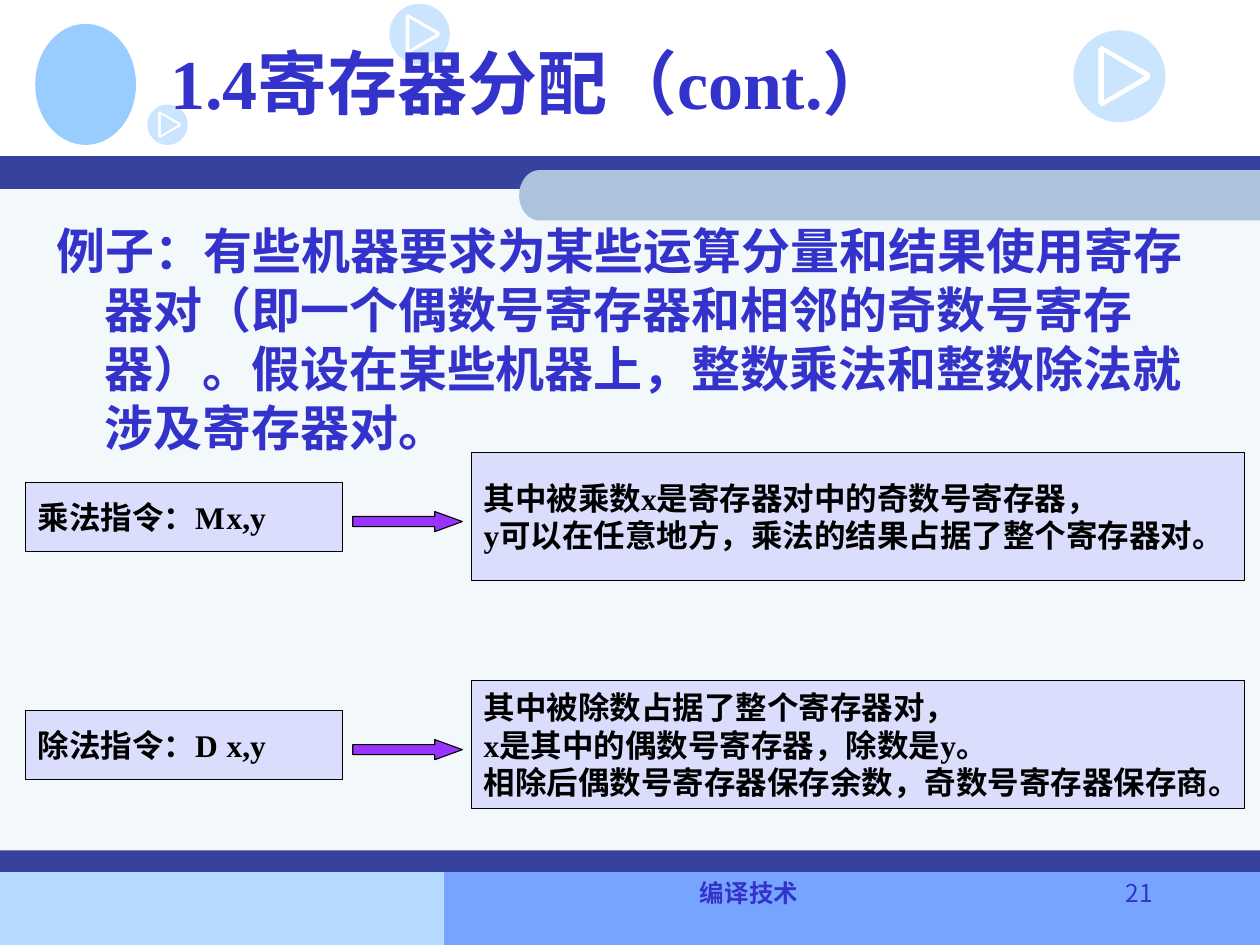
from dataclasses import dataclass
from math import cos, pi, sin

from lxml.etree import SubElement
from pptx import Presentation
from pptx.dml.color import RGBColor
from pptx.enum.shapes import MSO_SHAPE
from pptx.enum.text import MSO_ANCHOR, MSO_AUTO_SIZE, PP_ALIGN
from pptx.oxml.ns import qn
from pptx.util import Inches, Pt


@dataclass(frozen=True)
class Theme:
    ink: str = "3333CC"
    black: str = "000000"
    navy: str = "36429B"
    panel: str = "F3F8FB"
    tab: str = "ADC3DD"
    sky: str = "99CCFF"
    foot_left: str = "B5DAFF"
    foot_right: str = "77A4FF"
    box: str = "CCCCFF"
    arrow: str = "9933FF"
    serif: str = "Times New Roman"
    sans: str = "Noto Sans CJK KR"
    title_size: float = 40
    body_size: float = 28
    box_size: float = 18
    foot_size: float = 14
    line: float = 0.62


T = Theme()


def style(sp, fill, opacity=None, line=None):
    sp.shadow.inherit = False
    sp.fill.solid()
    sp.fill.fore_color.rgb = RGBColor.from_string(fill)
    if opacity:
        color = sp.element.spPr.find(qn("a:solidFill"))[0]
        SubElement(color, qn("a:alpha")).set("val", str(opacity * 1000))
    if line:
        sp.line.color.rgb = RGBColor.from_string(line)
        sp.line.width = Pt(T.line)
    else:
        sp.line.fill.background()
    return sp


def add_box(s, x, y, w, h, fill, kind=MSO_SHAPE.RECTANGLE, **kw):
    sp = s.shapes.add_shape(kind, Inches(x), Inches(y), Inches(w), Inches(h))
    return style(sp, fill, **kw)


def add_outline(s, contours, fill, **kw):
    """Closed contours in inches; inner ones cut holes."""
    scale = 1000
    paths = [[(round(x * scale), round(y * scale)) for x, y in c] for c in contours]
    fb = s.shapes.build_freeform(*paths[0][0], scale=Inches(1) / scale)
    for i, points in enumerate(paths):
        if i:
            fb.move_to(*points[0])
        fb.add_line_segments(points[1:], close=True)
    return style(fb.convert_to_shape(), fill, **kw)


def arc(cx, cy, rx, ry, start, end, steps):
    angles = [start + (end - start) * i / steps for i in range(steps + 1)]
    return [(cx + rx * cos(a), cy + ry * sin(a)) for a in angles]


def set_text(sp, lines, size, color=T.ink, font=T.serif, bold=True,
             align=PP_ALIGN.LEFT, anchor=MSO_ANCHOR.TOP,
             spacing=None, hang=0, tab=None):
    tf = sp.text_frame
    tf.word_wrap = True
    tf.auto_size = MSO_AUTO_SIZE.NONE
    tf.vertical_anchor = anchor
    for i, line in enumerate(lines):
        p = tf.add_paragraph() if i else tf.paragraphs[0]
        p.alignment = align
        p.space_before = Pt(0)
        if spacing:
            p.line_spacing = Pt(spacing)
        pPr = p._p.get_or_add_pPr()
        pPr.set("marL", str(Inches(hang)))
        pPr.set("indent", str(-Inches(hang)))
        SubElement(pPr, qn("a:buNone"))
        if tab:
            stops = SubElement(pPr, qn("a:tabLst"))
            SubElement(stops, qn("a:tab"), pos=str(Inches(tab)), algn="l")
        r = p.add_run()
        r.text = line
        r.font.size, r.font.bold, r.font.name = Pt(size), bold, font
        r.font.color.rgb = RGBColor.from_string(color)
        SubElement(r._r.get_or_add_rPr(), qn("a:ea")).set("typeface", T.sans)


def place(sp, x, y, w, h):
    sp.left, sp.top, sp.width, sp.height = map(Inches, (x, y, w, h))
    # Bring in front of the decoration
    sp.element.getparent().append(sp.element)


def play_badge(s, x, y, d):
    """Disc with the outline of a play triangle cut out."""
    def at(points):
        return [(x + d * u, y + d * v) for u, v in points]

    add_outline(s, [
        at(arc(0.5, 0.5, 0.5, 0.5, 0, 2 * pi, 48)[:-1]),
        at([(0.27, 0.2), (0.31, 0.17), (0.82, 0.46), (0.84, 0.5),
            (0.82, 0.54), (0.31, 0.83), (0.27, 0.8)]),
        at([(0.33, 0.24), (0.77, 0.5), (0.33, 0.76)]),
    ], T.sky, opacity=50)


def header(s, x, y, w):
    add_box(s, x, y + 1.24, w, 0.26, T.navy)
    # Tab with a rounded left end
    left, top, rx, ry = x + 4.12, y + 1.35, 0.16, 0.2
    end = arc(left + rx, top + ry, rx, ry, 1.5 * pi, 0.5 * pi, 16)
    add_outline(s, [[(x + w, top), *end, (x + w, top + 2 * ry)]], T.tab)
    # Plain emblem and badges
    add_box(s, x + 0.28, y + 0.19, 0.8, 0.96, T.sky, MSO_SHAPE.OVAL)
    for dx, dy, d in ((3.09, 0.03, 0.48), (8.52, 0.24, 0.73), (1.17, 0.83, 0.32)):
        play_badge(s, x + dx, y + dy, d)
    place(s.shapes.title, x + 1.25, y + 0.06, 8.5, 1.17)
    set_text(s.shapes.title, ["1.4寄存器分配（cont.）"], T.title_size,
             anchor=MSO_ANCHOR.MIDDLE)


def footer(s, x, y, w):
    add_box(s, x + 3.52, y + 0.16, w - 3.52, 0.59, T.foot_right)
    add_box(s, x, y + 0.16, 3.52, 0.59, T.foot_left)
    add_box(s, x, y, w, 0.17, T.navy)
    for dx, bw, text, bold, align in (
            (3.42, 5.05, "编译技术", True, PP_ALIGN.CENTER),
            (8.47, 0.78, "21", False, PP_ALIGN.RIGHT)):
        tb = s.shapes.add_textbox(Inches(x + dx), Inches(y + 0.17),
                                  Inches(bw), Inches(0.5))
        set_text(tb, [text], T.foot_size, font=T.sans, bold=bold, align=align)


def example(s, x, y, w, h, text):
    body = s.placeholders[1]
    place(body, x, y, w, h)
    set_text(body, [text], T.body_size, spacing=33.7, hang=0.38)


def instruction_row(s, x, y, w, h, code, notes):
    """Instruction, arrow and explanation, centred on one line."""
    mid = y + h / 2
    label = add_box(s, x, mid - 0.27, 2.52, 0.55, T.box, opacity=61, line=T.black)
    detail = add_box(s, x + 3.54, y, w - 3.54, h, T.box, opacity=61, line=T.black)
    for sp, lines, tab in ((label, [code], 1.78), (detail, notes, None)):
        set_text(sp, lines, T.box_size, color=T.black, spacing=21.4,
                 anchor=MSO_ANCHOR.MIDDLE, tab=tab)
    arrow = add_box(s, x + 2.6, mid - 0.04, 0.87, 0.16, T.arrow,
                    MSO_SHAPE.RIGHT_ARROW, line=T.black)
    arrow.adjustments[1] = 1.37


def main():
    prs = Presentation()
    prs.slide_width, prs.slide_height = Inches(10), Inches(7.5)
    s = prs.slides.add_slide(prs.slide_layouts[1])

    add_box(s, 0, 1.4, 10, 5.51, T.panel)
    header(s, 0, 0, 10)
    footer(s, 0, 6.75, 10)
    example(s, 0.35, 1.7, 9.45, 4.76,
            "例子：有些机器要求为某些运算分量和结果使用寄存器对（即一个偶数号寄存器和"
            "相邻的奇数号寄存器）。假设在某些机器上，整数乘法和整数除法就涉及寄存器对。")
    rows = (
        ("乘法指令：M\tx,y",
         ["其中被乘数x是寄存器对中的奇数号寄存器，",
          "y可以在任意地方，乘法的结果占据了整个寄存器对。"]),
        ("除法指令：D\tx,y",
         ["其中被除数占据了整个寄存器对，",
          "x是其中的偶数号寄存器，除数是y。",
          "相除后偶数号寄存器保存余数，奇数号寄存器保存商。"]),
    )
    for i, (code, notes) in enumerate(rows):
        instruction_row(s, 0.2, 3.59 + 1.81 * i, 9.68, 1.02, code, notes)
    prs.save("out.pptx")


if __name__ == "__main__":
    main()
